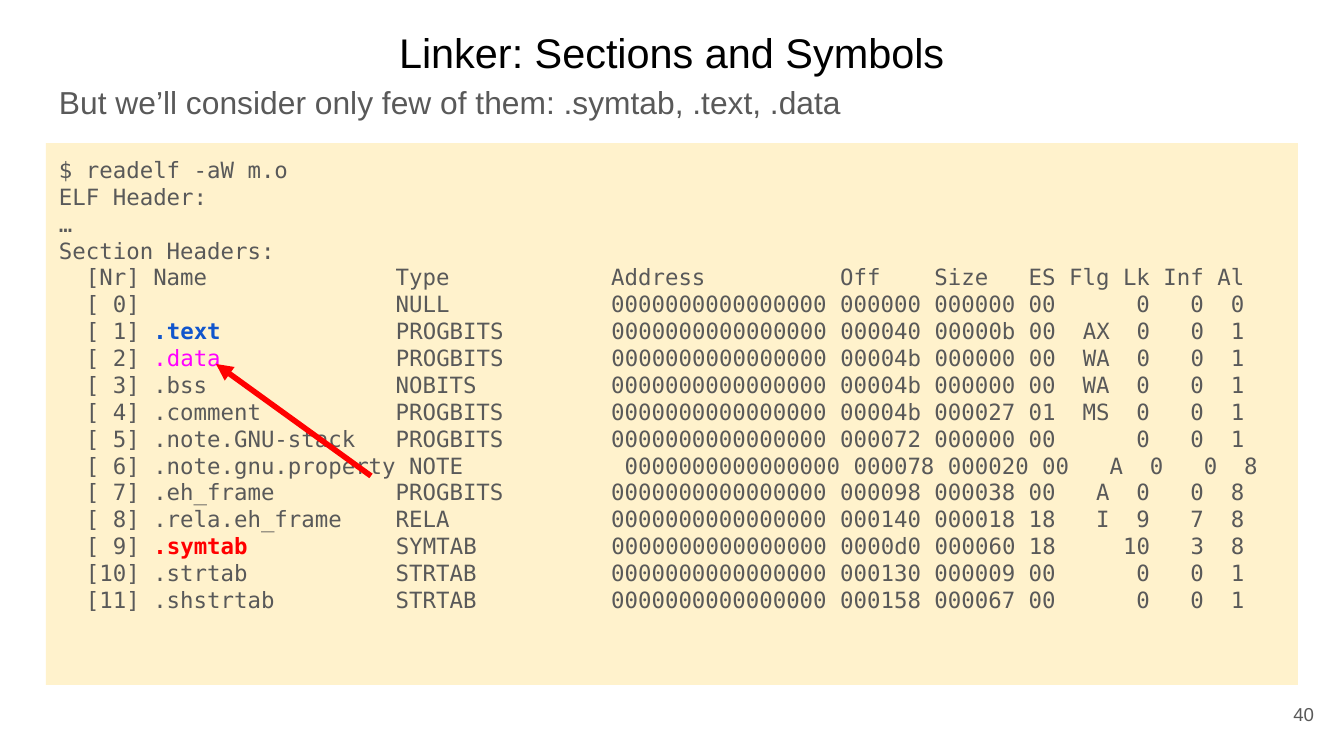
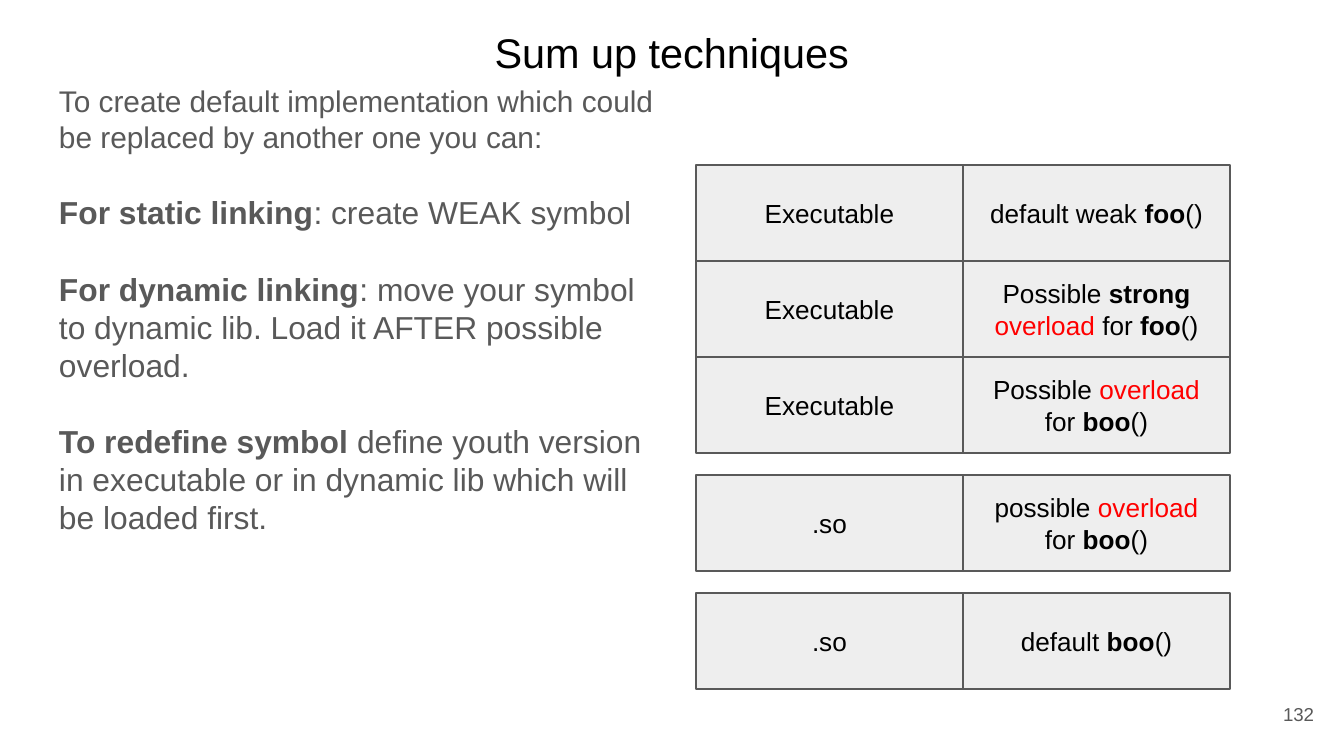
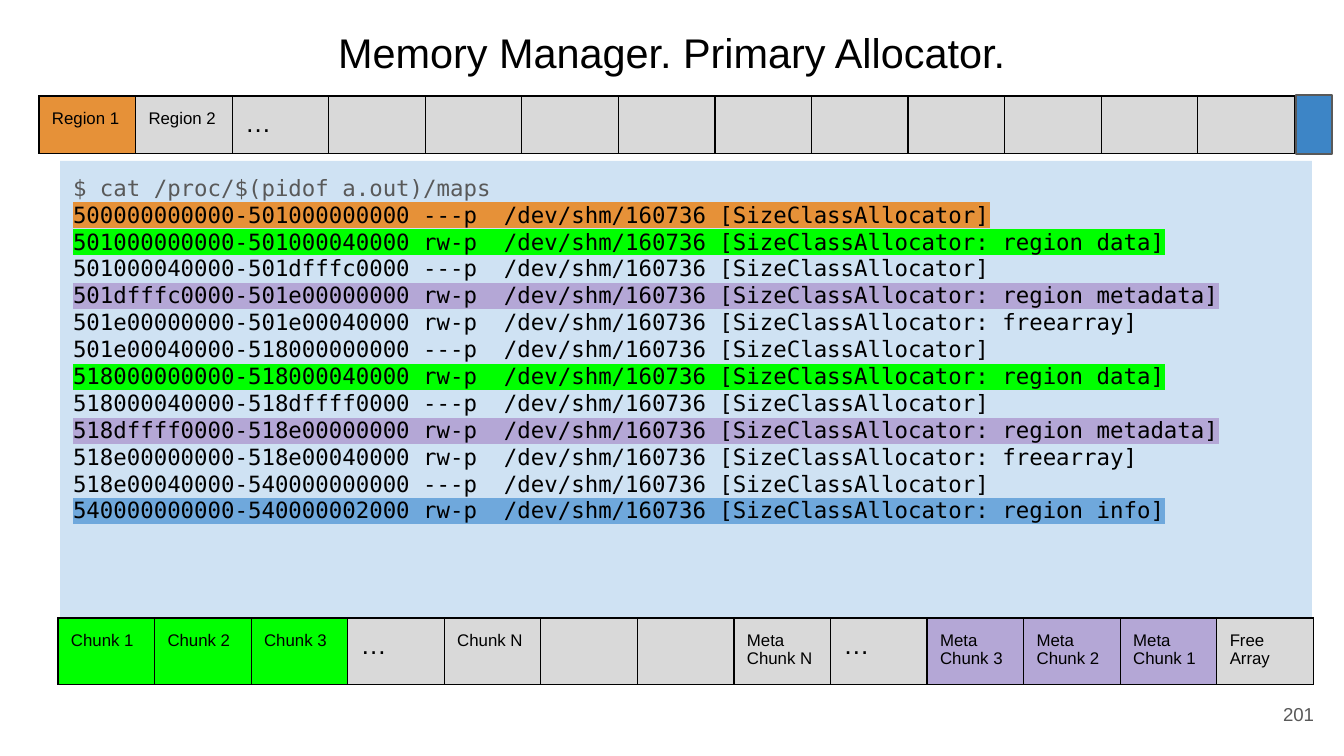
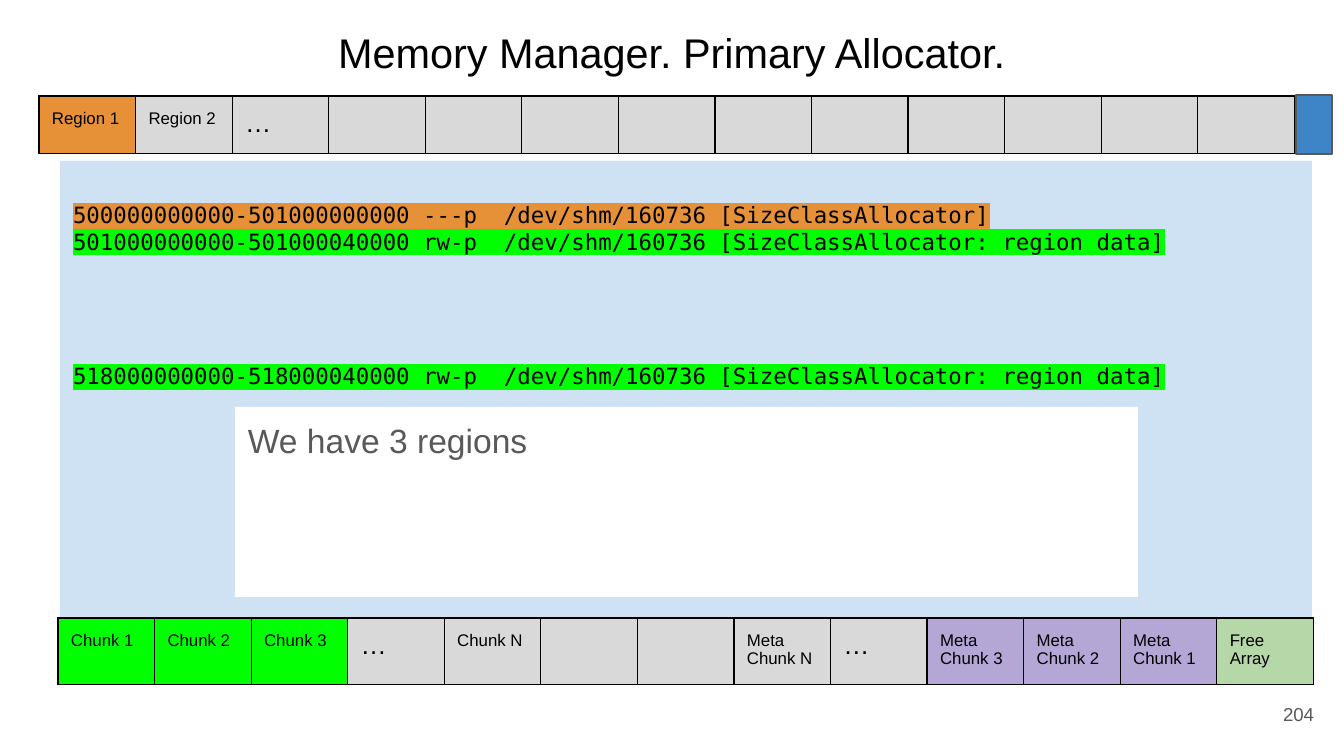
from lxml.etree import SubElement
from pptx import Presentation
from pptx.dml.color import RGBColor
from pptx.enum.shapes import MSO_CONNECTOR, MSO_SHAPE
from pptx.enum.text import MSO_ANCHOR as ANCHOR, MSO_AUTO_SIZE as FIT, PP_ALIGN as ALIGN
from pptx.oxml.ns import qn
from pptx.util import Pt

PX = 914400 / 134.4
SANS, MONO = "Arial", "DejaVu Sans Mono"
BLACK, GRAY, RED, WHITE = "000000", "595959", "FF0000", "FFFFFF"
CREAM, PALE_BLUE, SILVER, MIST = "FFF2CC", "CFE2F3", "D9D9D9", "EEEEEE"
ORANGE, LIME, VIOLET, SAGE = "E69138", "00FF00", "B4A7D6", "B6D7A8"
BLUE, SKY = "3D85C6", "6FA8DC"
INSET = 13
BODY_LINE, CODE_LINE = 20.5, 14.4  # line heights in points

BOLD = {"bold": True}
REDDISH = {"color": RED}

READELF = [
    "$ readelf -aW m.o",
    "ELF Header:",
    "…",
    "Section Headers:",
    "  [Nr] Name              Type            Address          Off    Size   ES Flg Lk Inf Al",
    "  [ 0]                   NULL            0000000000000000 000000 000000 00      0   0  0",
    "  [ 1] .text             PROGBITS        0000000000000000 000040 00000b 00  AX  0   0  1",
    "  [ 2] .data             PROGBITS        0000000000000000 00004b 000000 00  WA  0   0  1",
    "  [ 3] .bss              NOBITS          0000000000000000 00004b 000000 00  WA  0   0  1",
    "  [ 4] .comment          PROGBITS        0000000000000000 00004b 000027 01  MS  0   0  1",
    "  [ 5] .note.GNU-stack   PROGBITS        0000000000000000 000072 000000 00      0   0  1",
    "  [ 6] .note.gnu.property NOTE            0000000000000000 000078 000020 00   A  0   0  8",
    "  [ 7] .eh_frame         PROGBITS        0000000000000000 000098 000038 00   A  0   0  8",
    "  [ 8] .rela.eh_frame    RELA            0000000000000000 000140 000018 18   I  9   7  8",
    "  [ 9] .symtab           SYMTAB          0000000000000000 0000d0 000060 18     10   3  8",
    "  [10] .strtab           STRTAB          0000000000000000 000130 000009 00      0   0  1",
    "  [11] .shstrtab         STRTAB          0000000000000000 000158 000067 00      0   0  1",
]
SECTION_STYLES = {
    ".text": {"color": "1155CC", "bold": True},
    ".data": {"color": "FF00FF"},
    ".symtab": {"color": RED, "bold": True},
}

# Address range, access, kind of mapping, highlight
MAPPINGS = [
    ("500000000000-501000000000", "---p", "", ORANGE),
    ("501000000000-501000040000", "rw-p", ": region data", LIME),
    ("501000040000-501dfffc0000", "---p", "", None),
    ("501dfffc0000-501e00000000", "rw-p", ": region metadata", VIOLET),
    ("501e00000000-501e00040000", "rw-p", ": freearray", None),
    ("501e00040000-518000000000", "---p", "", None),
    ("518000000000-518000040000", "rw-p", ": region data", LIME),
    ("518000040000-518dffff0000", "---p", "", None),
    ("518dffff0000-518e00000000", "rw-p", ": region metadata", VIOLET),
    ("518e00000000-518e00040000", "rw-p", ": freearray", None),
    ("518e00040000-540000000000", "---p", "", None),
    ("540000000000-540000002000", "rw-p", ": region info", SKY),
]
MAP_LINES = [
    [(f"{span} {access}  /dev/shm/160736 [SizeClassAllocator{kind}]",
      {"color": BLACK, "highlight": mark})]
    for span, access, kind, mark in MAPPINGS
]

REGIONS = [("Region 1", ORANGE), ("Region 2", SILVER), ("…", SILVER)] + [("", SILVER)] * 10
CHUNKS = [
    *[(f"Chunk {n}", LIME) for n in (1, 2, 3)],
    ("…", SILVER), ("Chunk N", SILVER), ("", SILVER), ("", SILVER),
    ("Meta\nChunk N", SILVER), ("…", SILVER),
    *[(f"Meta\nChunk {n}", VIOLET) for n in (3, 2, 1)],
]


def px(n):
    return round(n * PX)


def box_emu(box):
    return [px(n) for n in box]


def rgb(hex_color):
    return RGBColor.from_string(hex_color)


def pad(holder, top=INSET, anchor=ANCHOR.TOP):
    """Set the insets and anchor of a text frame or a table cell."""
    holder.margin_left = holder.margin_right = holder.margin_bottom = px(INSET)
    holder.margin_top = px(top)
    holder.vertical_anchor = anchor


def add_run(p, text, size, font, color, bold=False, highlight=None):
    r = p.add_run()
    r.text = text
    r.font.size = Pt(size)
    r.font.bold = bold
    r.font.color.rgb = rgb(color)
    if highlight:
        mark = SubElement(r._r.get_or_add_rPr(), qn("a:highlight"))
        SubElement(mark, qn("a:srgbClr"), val=highlight)
    r.font.name = font


def write(tf, lines, size=17, font=SANS, color=GRAY, align=ALIGN.LEFT,
          spacing=None, before=None):
    """Write paragraphs: each a string or a list of strings and (text, format) pairs."""
    tf.word_wrap = True
    base = {"size": size, "font": font, "color": color}
    for i, line in enumerate(lines):
        p = tf.add_paragraph() if i else tf.paragraphs[0]
        p.alignment = align
        if spacing:
            p.line_spacing = spacing
        if before and i in before:
            p.space_before = Pt(before[i])
        for part in [line] if isinstance(line, str) else line:
            text, fmt = (part, {}) if isinstance(part, str) else part
            if text:
                add_run(p, text, **{**base, **fmt})
            else:
                SubElement(p._p, qn("a:endParaRPr"), sz=str(size * 100))


def text_box(s, box, lines, anchor=ANCHOR.TOP, **fmt):
    tf = s.shapes.add_textbox(*box_emu(box)).text_frame
    pad(tf, anchor=anchor)
    write(tf, lines, **fmt)


def rect(s, box, fill, line=None, lines=(), top=INSET, anchor=ANCHOR.TOP, **fmt):
    sp = s.shapes.add_shape(MSO_SHAPE.RECTANGLE, *box_emu(box))
    sp.shadow.inherit = False
    sp.fill.solid()
    sp.fill.fore_color.rgb = rgb(fill)
    if line:
        sp.line.color.rgb = rgb(line)
        sp.line.width = Pt(0.75)
    else:
        sp.line.fill.background()
    pad(sp.text_frame, top, anchor)
    write(sp.text_frame, lines, **fmt)


def code_panel(s, box, fill, lines, **fmt):
    rect(s, box, fill, lines=lines, size=12, font=MONO, **fmt)


def arrow(s, start, end, color, width):
    c = s.shapes.add_connector(MSO_CONNECTOR.STRAIGHT, *box_emu(start + end))
    c.line.color.rgb = rgb(color)
    c.line.width = Pt(width)
    spPr = c._element.spPr
    SubElement(spPr.find(qn("a:ln")), qn("a:tailEnd"), type="triangle")
    SubElement(spPr, qn("a:effectLst"))


def cell_borders(cell):
    tcPr = cell._tc.get_or_add_tcPr()
    for side in "LRTB":
        ln = SubElement(tcPr, qn(f"a:ln{side}"), w=str(Pt(0.75)))
        SubElement(SubElement(ln, qn("a:solidFill")), qn("a:srgbClr"), val=BLACK)


def memory_strip(s, box, cells):
    """Draw one row of equal memory cells, given as (label, fill)."""
    tbl = s.shapes.add_table(1, len(cells), *box_emu(box)).table
    tbl.first_row = tbl.horz_banding = False
    for i, (label, fill) in enumerate(cells):
        tbl.columns[i].width = px(box[2] / len(cells))
        cell = tbl.cell(0, i)
        pad(cell)
        cell_borders(cell)
        cell.fill.solid()
        cell.fill.fore_color.rgb = rgb(fill)
        write(cell.text_frame, label.split("\n"), size=14 if label == "…" else 9, color=BLACK)


def new_slide(prs, title, number):
    s = prs.slides.add_slide(prs.slide_layouts[5])
    sp = s.shapes.title
    sp.left, sp.top, sp.width, sp.height = box_emu((46, 20, 1252, 70))
    tf = sp.text_frame
    tf.auto_size = FIT.NONE
    pad(tf, anchor=ANCHOR.BOTTOM)
    write(tf, [title], size=22.2, color=BLACK, align=ALIGN.CENTER, spacing=0.8)
    text_box(s, (1246, 685, 81, 58), [str(number)], anchor=ANCHOR.MIDDLE,
             size=10, align=ALIGN.RIGHT)
    return s


def style_section(line):
    """Split a listing line around the section name that has its own format."""
    for name, fmt in SECTION_STYLES.items():
        head, found, tail = line.partition(f" {name} ")
        if found:
            return [head + " ", (name, fmt), " " + tail]
    return line


def sections_slide(prs):
    s = new_slide(prs, "Linker: Sections and Symbols", 40)
    text_box(s, (46, 70, 1279, 657),
             ["But we’ll consider only few of them: .symtab, .text, .data"])
    code_panel(s, (46, 143, 1252, 542), CREAM, [style_section(line) for line in READELF])
    arrow(s, (371, 476), (216, 364), RED, 3)


def layer_stack(s, x, y, w, h, gap, groups):
    """Stack rows of two boxes, with a gap between the groups."""
    for group in groups:
        for row in group:
            for col, line in enumerate(row):
                rect(s, (x + col * w, y, w, h), MIST, GRAY, [line], anchor=ANCHOR.MIDDLE,
                     size=14, color=BLACK, align=ALIGN.CENTER)
            y += h
        y += gap


def techniques_slide(prs):
    s = new_slide(prs, "Sum up techniques", 132)
    text_box(s, (46, 70, 626, 657), [
        [("To create default implementation which could be replaced by another one you can:",
          {"size": 16})],
        [("For static linking", BOLD), ": create WEAK symbol"],
        [("For dynamic linking", BOLD),
         ": move your symbol to dynamic lib. Load it AFTER possible overload."],
        [("To redefine symbol", BOLD),
         " define youth version in executable or in dynamic lib which will be loaded first."],
    ], before={i: BODY_LINE for i in (1, 2, 3)})

    foo, boo, overload = ("foo", BOLD), ("boo", BOLD), ("overload", REDDISH)
    layer_stack(s, 696, 165, 267, 96, 22, [
        [("Executable", ["default weak ", foo, "()"]),
         ("Executable", ["Possible ", ("strong ", BOLD), overload, " for ", foo, "()"]),
         ("Executable", ["Possible ", overload, " for ", boo, "()"])],
        [(".so", ["possible ", overload, " for ", boo, "()"])],
        [(".so", ["default ", boo, "()"])],
    ])


def allocator_slide(prs, number, lines, free_fill, **fmt):
    s = new_slide(prs, "Memory Manager. Primary Allocator.", number)
    code_panel(s, (60, 161, 1252, 510), PALE_BLUE, lines, **fmt)
    rect(s, (1296, 95, 36, 59), BLUE, GRAY)
    memory_strip(s, (39, 96, 1256, 57), REGIONS)
    memory_strip(s, (58, 618, 1256, 64), CHUNKS + [("Free\nArray", free_fill)])
    return s


def main():
    prs = Presentation()
    prs.slide_width, prs.slide_height = px(1344), px(756)
    sections_slide(prs)
    techniques_slide(prs)
    allocator_slide(prs, 201, ["$ cat /proc/$(pidof a.out)/maps"] + MAP_LINES, SILVER)

    # Only the mappings that show the regions, each kept on its own line of the map
    s = allocator_slide(prs, 204, [MAP_LINES[i] for i in (0, 1, 6)], SAGE,
                        top=INSET + 27, before={2: 4 * CODE_LINE})
    rect(s, (235, 407, 903, 190), WHITE, lines=["We have 3 regions"], size=18)
    prs.save("out.pptx")


if __name__ == "__main__":
    main()
